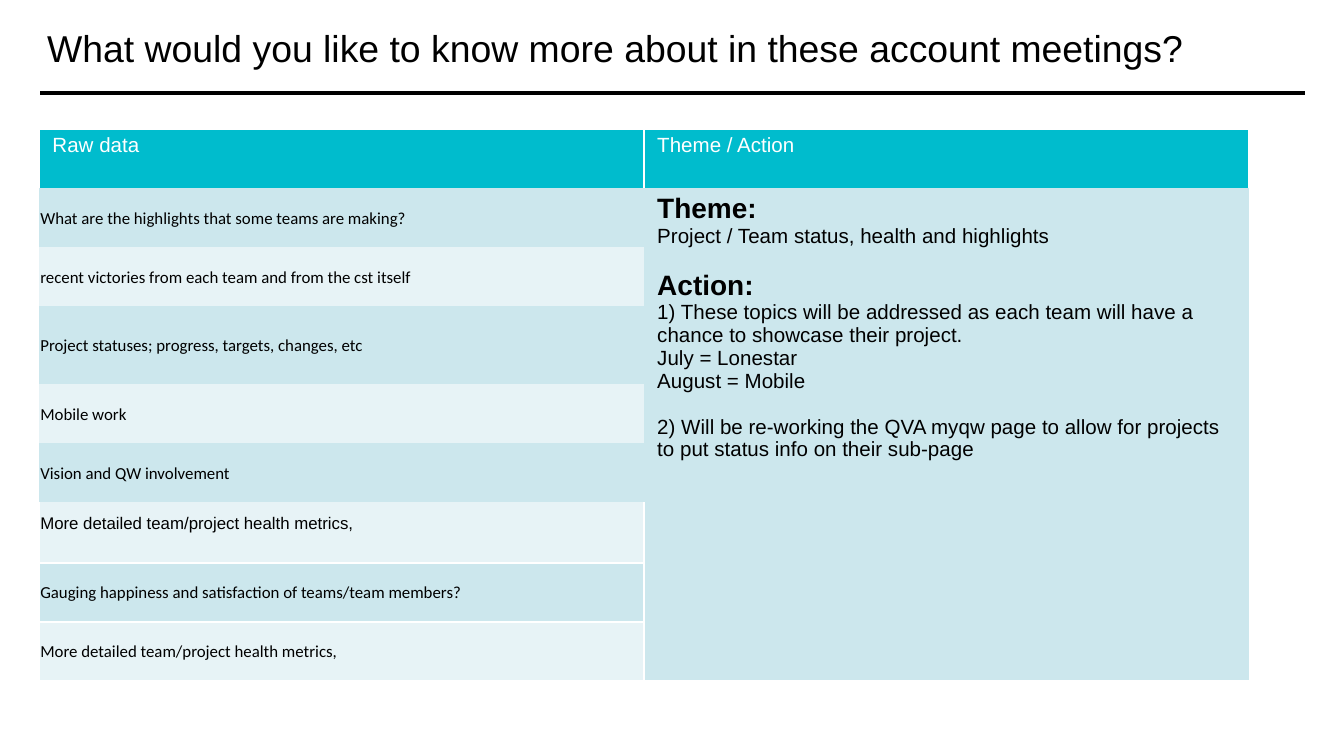
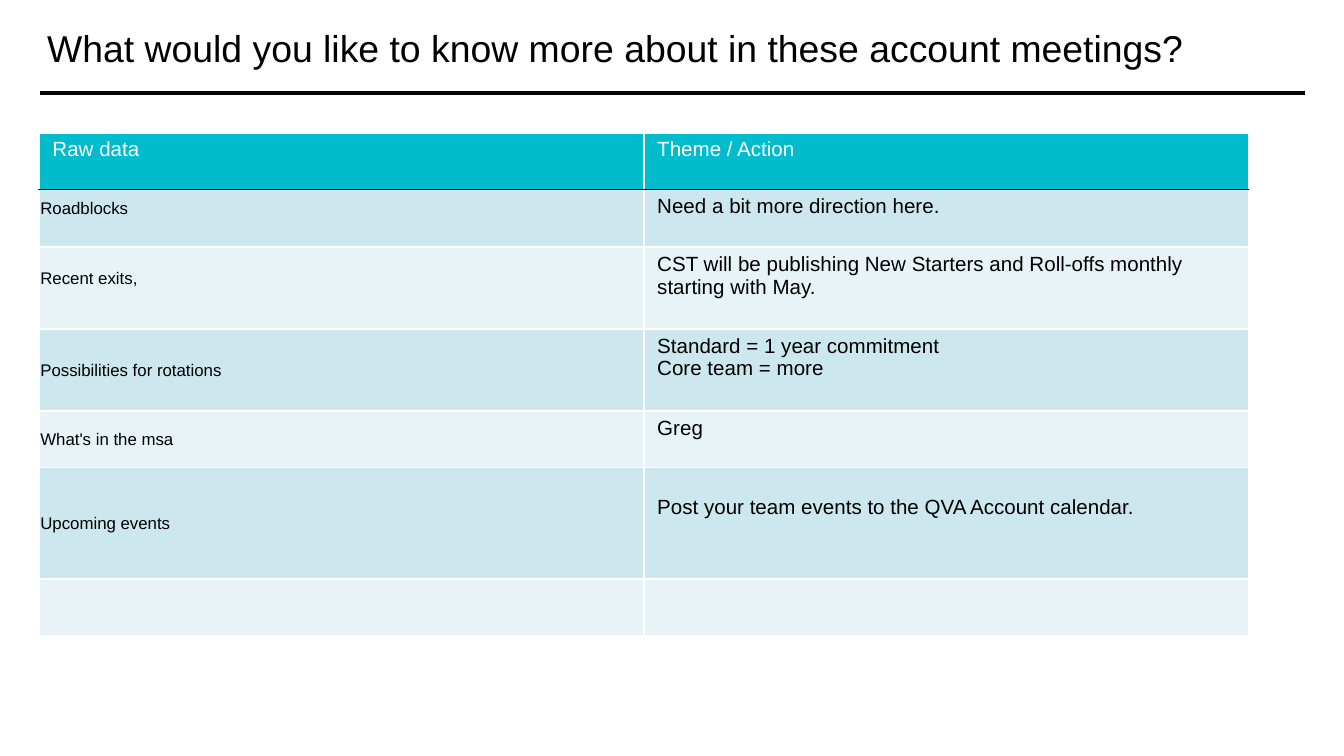
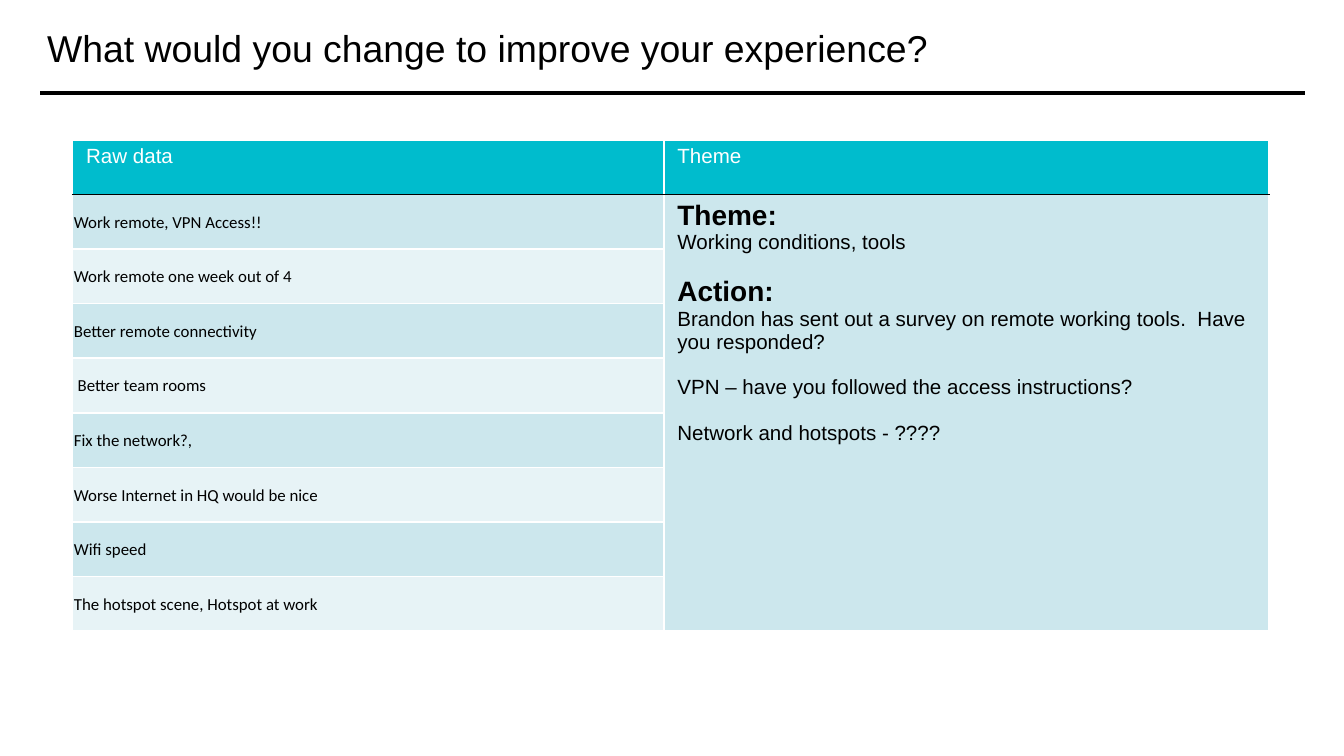
from lxml import etree
from pptx import Presentation
from pptx import util as u
from pptx.dml.color import RGBColor
from pptx.enum import shapes, text
from pptx.oxml import ns

COLORS = {"ink": "000000", "white": "FFFFFF", "header": "00BCCD",
          "dark band": "CCE7ED", "light band": "E7F3F6"}
NO_STYLE = "{2D5ABB26-0587-4C30-8999-92F81FD0307C}"
NOTE, BODY, HEADING, TITLE = 9, 11, 15, 20
BLANK_LINE = 12.2
ALL_SIDES = "LRTB"


def add_text(para, words, size, font="Arial", color="ink", bold=False):
    span = para.add_run()
    span.text = words
    span.font.size = u.Pt(size)
    span.font.name = font
    span.font.bold = bold
    span.font.color.rgb = RGBColor.from_string(COLORS[color])


def add_border(cell, side, color):
    line = etree.SubElement(cell._tc.get_or_add_tcPr(), ns.qn("a:ln" + side), w="12700")
    fill = etree.SubElement(line, ns.qn("a:solidFill"))
    etree.SubElement(fill, ns.qn("a:srgbClr"), val=COLORS[color])


# Actions are (text, size, follows a gap); one group per body row,
# and a single group spans the whole column.
pages = [
    {
        "title": "What would you like to know more about in these account meetings?",
        "left": 0.29, "top": 0.96, "columns": [4.5, 4.5],
        "rows": [0.44, 0.44, 0.44, 0.58, 0.44, 0.44, 0.45, 0.44, 0.44],
        "headers": ["Raw data", "Theme / Action"],
        "font": "Calibri", "raised": [6], "ruled": False,
        "notes": [
            "What are the highlights that some teams are making?",
            "recent victories from each team and from the cst itself",
            "Project statuses; progress, targets, changes, etc",
            "Mobile work",
            "Vision and QW involvement",
            "More detailed team/project health metrics,",
            "Gauging happiness and satisfaction of teams/team members?",
            "More detailed team/project health metrics,",
        ],
        "actions": [[
            ("Theme:", HEADING, False),
            ("Project / Team status, health and highlights", BODY, False),
            ("Action:", HEADING, True),
            ("1) These topics will be addressed as each team will have a chance "
             "to showcase their project.", BODY, False),
            ("July = Lonestar", BODY, False),
            ("August = Mobile", BODY, False),
            ("2) Will be re-working the QVA myqw page to allow for projects "
             "to put status info on their sub-page", BODY, True),
        ]],
    },
    {
        "title": "What would you like to know more about in these account meetings?",
        "left": 0.29, "top": 0.99, "columns": [4.5, 4.5],
        "rows": [0.42, 0.43, 0.61, 0.61, 0.42, 0.83, 0.42],
        "headers": ["Raw data", "Theme / Action"],
        "font": "Arial", "raised": [1, 2], "ruled": True,
        "notes": ["Roadblocks", "Recent exits,", "Possibilities for rotations",
                  "What's in the msa", "Upcoming events"],
        "actions": [
            [("Need a bit more direction here.", BODY, False)],
            [("CST will be publishing New Starters and Roll-offs monthly "
              "starting with May.", BODY, False)],
            [("Standard = 1 year commitment", BODY, False),
             ("Core team = more", BODY, False)],
            [("Greg", BODY, False)],
            [("Post your team events to the QVA Account calendar.", BODY, True)],
        ],
    },
    {
        "title": "What would you change to improve your experience?",
        "left": 0.54, "top": 1.04, "columns": [4.4, 4.5],
        "rows": [3.66 / 9] * 9,
        "headers": ["Raw data", "Theme"],
        "font": "Calibri", "raised": [], "ruled": True,
        "notes": ["Work remote, VPN Access!!", "Work remote one week out of 4",
                  "Better remote connectivity", " Better team rooms",
                  "Fix the network?,", "Worse Internet in HQ would be nice",
                  "Wifi speed", "The hotspot scene, Hotspot at work"],
        "actions": [[
            ("Theme:", HEADING, False),
            ("Working conditions, tools", BODY, False),
            ("Action:", HEADING, True),
            ("Brandon has sent out a survey on remote working tools.  "
             "Have you responded?", BODY, False),
            ("VPN – have you followed the access instructions?", BODY, True),
            ("Network and hotspots - ????", BODY, True),
        ]],
    },
]

# Widescreen page, 16 to 9
deck = Presentation()
deck.slide_width = u.Inches(10)
deck.slide_height = deck.slide_width * 9 // 16

for content in pages:
    page = deck.slides.add_slide(deck.slide_layouts[5])

    # Title and the rule under it
    title = page.shapes.title
    title.left, title.top = u.Inches(0.29), u.Inches(0.18)
    title.width, title.height = u.Inches(9.41), u.Inches(0.42)
    frame = title.text_frame
    frame.auto_size = text.MSO_AUTO_SIZE.NONE
    frame.word_wrap = True
    frame.vertical_anchor = text.MSO_ANCHOR.MIDDLE
    frame.margin_left = frame.margin_right = u.Inches(0.06)
    frame.margin_top = frame.margin_bottom = u.Inches(0.06)
    para = frame.paragraphs[0]
    para.alignment = text.PP_ALIGN.LEFT
    para.line_spacing = 0.75
    add_text(para, content["title"], TITLE)

    rule = page.shapes.add_connector(shapes.MSO_CONNECTOR.STRAIGHT, u.Inches(0.3),
                                     u.Inches(0.69), u.Inches(9.71), u.Inches(0.69))
    rule.line.width = u.Pt(2)
    rule.line.color.rgb = RGBColor.from_string(COLORS["ink"])
    etree.SubElement(rule._element.spPr, ns.qn("a:effectLst"))

    # Table grid
    columns, rows = content["columns"], content["rows"]
    table = page.shapes.add_table(
        len(rows), len(columns), u.Inches(content["left"]), u.Inches(content["top"]),
        u.Inches(sum(columns)), u.Inches(sum(rows))).table
    table.first_row = table.horz_banding = False
    table._tbl.tblPr.find(ns.qn("a:tableStyleId")).text = NO_STYLE
    for column, width in zip(table.columns, columns):
        column.width = u.Inches(width)
    for row, height in zip(table.rows, rows):
        row.height = u.Inches(height)
    if len(content["actions"]) == 1:
        table.cell(1, 1).merge(table.cell(len(rows) - 1, 1))

    # Borders first, then fills and margins
    for r in range(len(rows)):
        for c in range(len(columns)):
            cell = table.cell(r, c)
            if content["ruled"]:
                sides = ALL_SIDES
            elif r == 0:
                sides = "LRT"
            elif c == 1:
                sides = "B"
            else:
                sides = "" if r < 6 else "LRB" if r == 6 else ALL_SIDES
            for side in sides:
                under_header = content["ruled"] and (r, side) in [(0, "B"), (1, "T")]
                add_border(cell, side, "ink" if under_header else "white")
            band = "header" if r == 0 else "dark band" if r % 2 else "light band"
            cell.fill.solid()
            cell.fill.fore_color.rgb = RGBColor.from_string(COLORS[band])
            cell.margin_left = cell.margin_right = u.Inches(0.1)
            cell.margin_top = cell.margin_bottom = u.Inches(0.04)

    # Header row
    for c, words in enumerate(content["headers"]):
        add_text(table.cell(0, c).text_frame.paragraphs[0], words, BODY, color="white")

    # Raw data column
    for r, words in enumerate(content["notes"], 1):
        cell = table.cell(r, 0)
        raised = r in content["raised"]
        cell.vertical_anchor = text.MSO_ANCHOR.MIDDLE
        cell.margin_left = cell.margin_right = cell.margin_top = u.Inches(0.01)
        cell.margin_bottom = u.Inches(0.15 if raised else 0)
        add_text(cell.text_frame.paragraphs[0], words, NOTE,
                 "Arial" if raised else content["font"])

    # Theme and action column
    for r, group in enumerate(content["actions"], 1):
        cell = table.cell(r, 1)
        for i, (words, size, gap) in enumerate(group):
            para = cell.text_frame.add_paragraph() if i else cell.text_frame.paragraphs[0]
            if gap and i:
                para.space_before = u.Pt(BLANK_LINE)
            elif gap:
                cell.margin_top = u.Inches(0.04) + u.Pt(BLANK_LINE)
            add_text(para, words, size, bold=size == HEADING)

deck.save("out.pptx")
